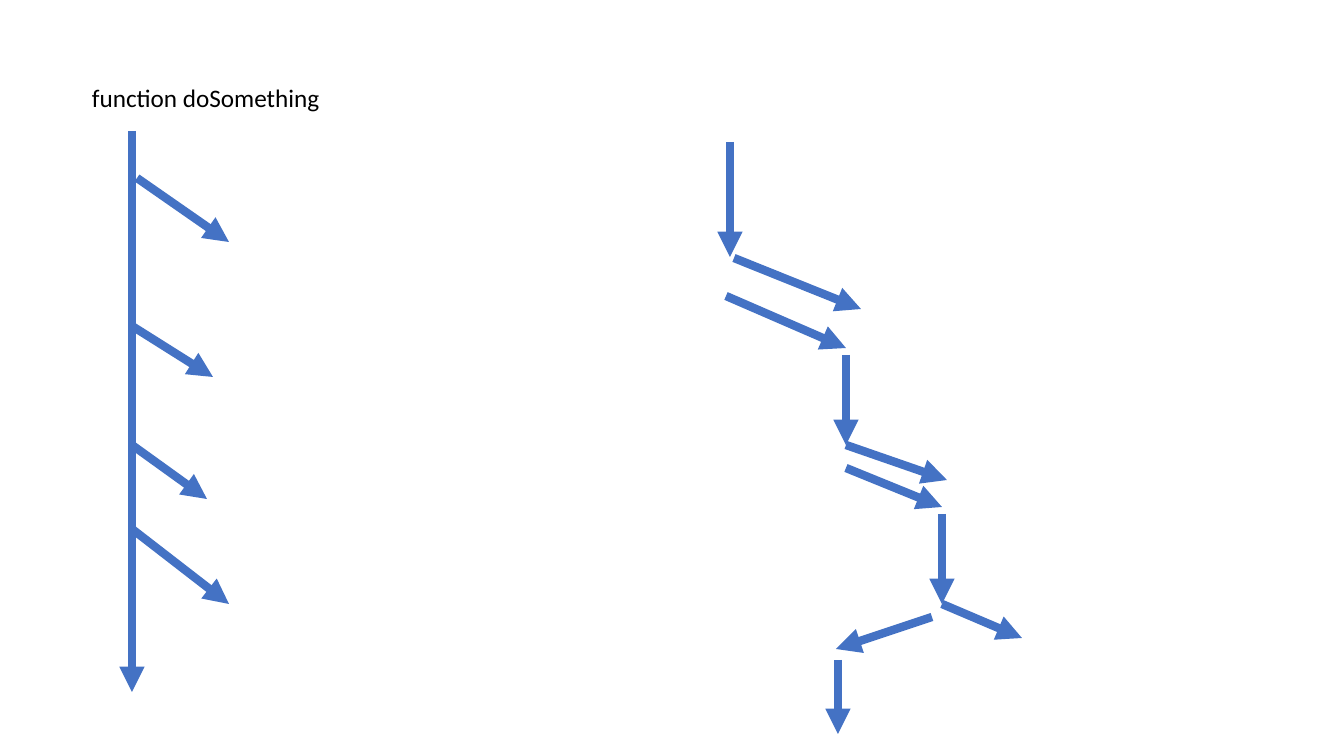
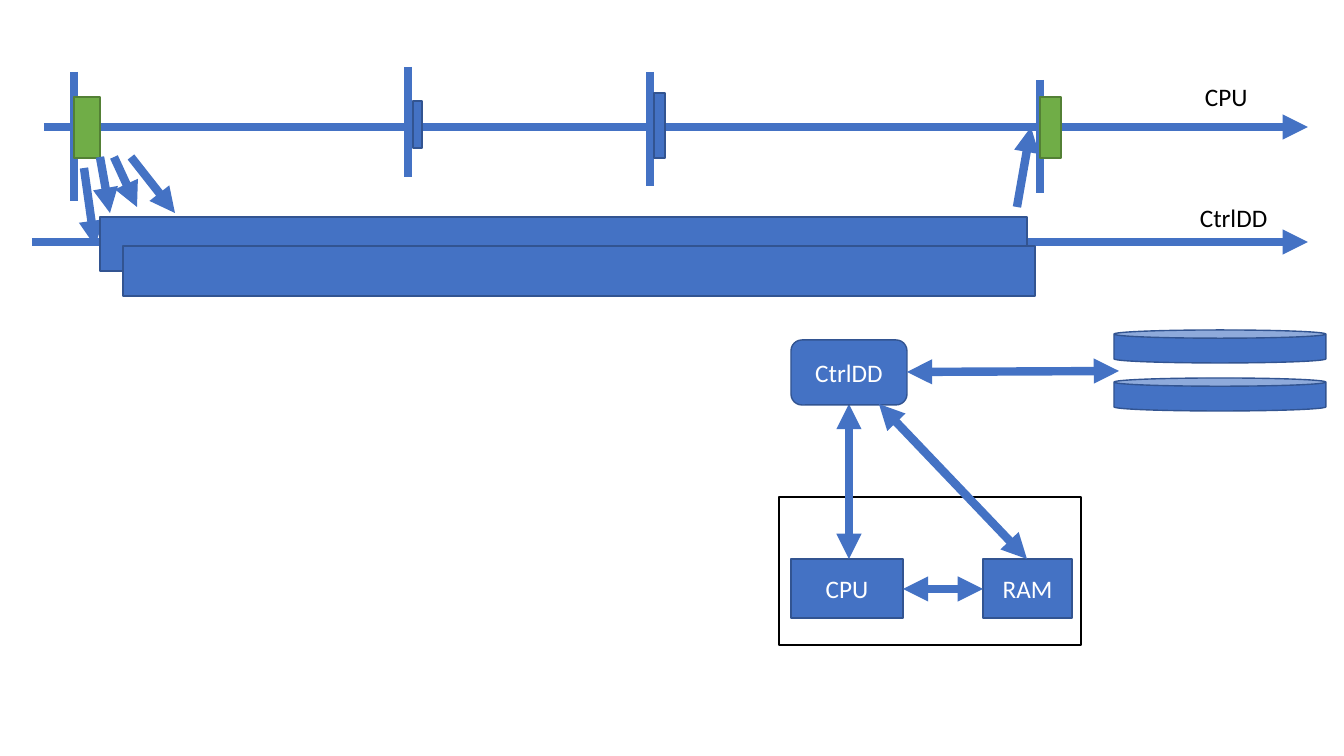
from dataclasses import dataclass

from lxml.etree import SubElement
from pptx import Presentation
from pptx.dml.color import RGBColor
from pptx.enum.shapes import MSO_CONNECTOR as Connector, MSO_SHAPE as Preset
from pptx.enum.text import MSO_ANCHOR as Anchor, MSO_AUTO_SIZE as AutoSize, PP_ALIGN as Align
from pptx.oxml.ns import qn
from pptx.slide import Slide
from pptx.text.text import TextFrame
from pptx.util import Emu, Pt

# Shared style
COLOURS = {
    "blue": "4472C4",
    "blue edge": "325491",
    "green": "70AD47",
    "green edge": "538035",
    "white": "FFFFFF",
    "black": "000000",
}
FONT = "Calibri"
TEXT_SIZE = 18
LINE_WIDTH = 6
EDGE_WIDTH = 1
PIXELS_PER_INCH = 100.8


def px(pixels: float) -> Emu:
    return Emu(round(pixels * 914400 / PIXELS_PER_INCH))


def rgb(name: str) -> RGBColor:
    return RGBColor.from_string(COLOURS[name])


# Kinds of element, with lengths in pixels
@dataclass(frozen=True)
class Line:
    x1: int
    y1: int
    x2: int
    y2: int
    ends: tuple[str, ...] = ("tailEnd",)


@dataclass(frozen=True)
class Block:
    left: int
    top: int
    width: int
    height: int
    text: str = ""
    fill: str = "blue"
    edge: str = "blue edge"
    preset: Preset = Preset.RECTANGLE


@dataclass(frozen=True)
class Label:
    left: int
    top: int
    width: int
    height: int
    text: str


Element = Line | Block | Label
BOTH_ENDS = ("headEnd", "tailEnd")


# Drawing functions
def write(frame: TextFrame, text: str, colour: str, align: Align) -> None:
    para = frame.paragraphs[0]
    para.alignment = align
    span = para.add_run()
    span.text = text
    span.font.name = FONT
    span.font.size = Pt(TEXT_SIZE)
    span.font.color.rgb = rgb(colour)


def draw_line(page: Slide, line: Line) -> None:
    connector = page.shapes.add_connector(
        Connector.STRAIGHT, px(line.x1), px(line.y1), px(line.x2), px(line.y2))
    connector.line.color.rgb = rgb("blue")
    connector.line.width = Pt(LINE_WIDTH)
    properties = connector.element.spPr
    for end in line.ends:
        SubElement(properties.find(qn("a:ln")), qn(f"a:{end}"), type="triangle")
    SubElement(properties, qn("a:effectLst"))


def draw_block(page: Slide, block: Block) -> None:
    shape = page.shapes.add_shape(
        block.preset, px(block.left), px(block.top), px(block.width), px(block.height))
    shape.shadow.inherit = False
    shape.fill.solid()
    shape.fill.fore_color.rgb = rgb(block.fill)
    shape.line.color.rgb = rgb(block.edge)
    shape.line.width = Pt(EDGE_WIDTH)
    if block.text:
        shape.text_frame.vertical_anchor = Anchor.MIDDLE
        write(shape.text_frame, block.text, "white", Align.CENTER)


def draw_label(page: Slide, label: Label) -> None:
    box = page.shapes.add_textbox(
        px(label.left), px(label.top), px(label.width), px(label.height))
    box.text_frame.word_wrap = False
    box.text_frame.auto_size = AutoSize.SHAPE_TO_FIT_TEXT
    write(box.text_frame, label.text, "black", Align.LEFT)


DRAWERS = {Line: draw_line, Block: draw_block, Label: draw_label}


def draw_page(page: Slide, elements: list[Element]) -> None:
    for element in elements:
        DRAWERS[type(element)](page, element)


# Slide 1: one function with side calls, next to a chain of callbacks
TRUNK_X = 132
call_flow = [
    Line(TRUNK_X, 131, TRUNK_X, 692),
    Label(82, 77, 251, 40, "function doSomething"),
    Line(137, 178, 229, 242),
    Line(TRUNK_X, 326, 213, 377),
    Line(TRUNK_X, 445, 207, 499),
    Line(TRUNK_X, 529, 229, 604),
    # Callback chain
    Line(730, 142, 730, 257),
    Line(734, 258, 861, 309),
    Line(726, 296, 846, 348),
    Line(846, 355, 846, 445),
    Line(846, 445, 947, 480),
    Line(846, 468, 942, 507),
    Line(942, 514, 942, 604),
    Line(942, 604, 1022, 638),
    Line(932, 617, 836, 649),
    Line(838, 660, 838, 734),
]

# Slide 2: processor and disk controller timelines, above the hardware
CPU_Y, CONTROLLER_Y, AXIS_END = 127, 242, 1308


def tick(x: int, top: int, bottom: int) -> Line:
    return Line(x, top, x, bottom, ends=())


def task(left: int, width: int) -> Block:
    return Block(left, 97, width, 61, fill="green", edge="green edge")


def disk(top: int) -> Block:
    return Block(1114, top, 212, 33, preset=Preset.CAN)


disk_access = [
    # Processor timeline
    Line(44, CPU_Y, AXIS_END, CPU_Y),
    Label(1195, 76, 64, 40, "CPU"),
    tick(74, 72, 201),
    task(74, 26),
    # Hardware
    Block(779, 497, 302, 148, fill="white", edge="black"),
    Block(791, 559, 112, 59, "CPU"),
    Block(983, 559, 89, 59, "RAM"),
    Line(903, 589, 983, 589, BOTH_ENDS),
    Line(849, 559, 849, 404, BOTH_ENDS),
    Block(791, 340, 116, 65, "CtrlDD", preset=Preset.ROUNDED_RECTANGLE),
    Line(907, 372, 1119, 371, BOTH_ENDS),
    disk(330),
    disk(378),
    Line(1027, 559, 879, 404, BOTH_ENDS),
    # Controller timeline
    Line(32, CONTROLLER_Y, AXIS_END, CONTROLLER_Y),
    Label(1190, 197, 89, 40, "CtrlDD"),
    Line(84, 168, 95, 246),
    Block(100, 217, 927, 54),
    Line(1017, 207, 1031, CPU_Y),
    # Later work on the processor
    tick(1040, 80, 193),
    task(1040, 21),
    tick(408, 67, 177),
    Block(413, 101, 9, 47),
    tick(650, 72, 186),
    Block(654, 93, 11, 65),
    # Further requests to the controller
    Line(100, 157, 110, 213),
    Line(114, 157, 137, 207),
    Line(131, 157, 175, 213),
    Block(123, 246, 912, 50),
]

# Deck
deck = Presentation()
deck.slide_width, deck.slide_height = px(1344), px(756)
blank_layout = deck.slide_layouts[6]
for elements in (call_flow, disk_access):
    draw_page(deck.slides.add_slide(blank_layout), elements)
deck.save("out.pptx")
